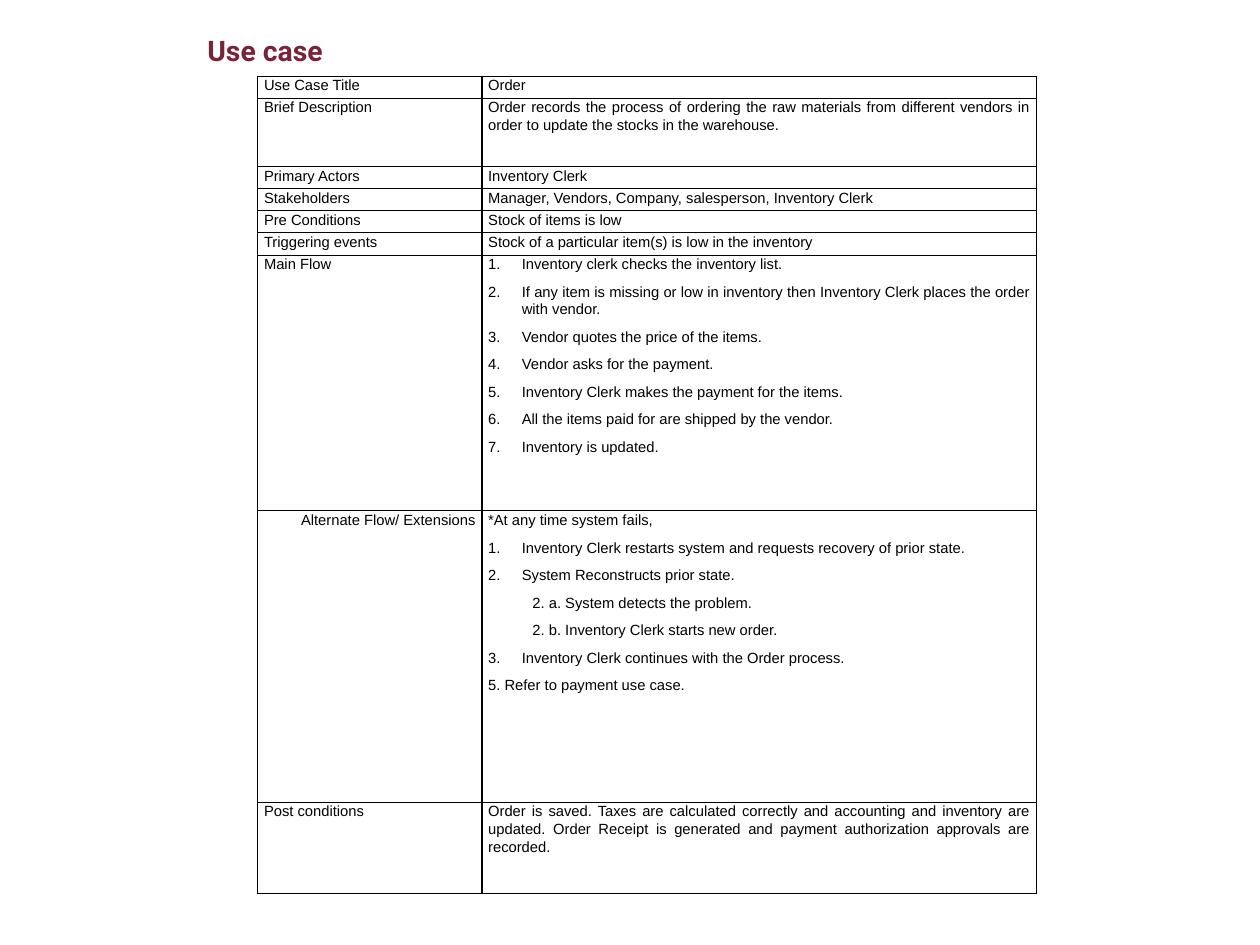
from lxml.etree import SubElement as Sub
from pptx import Presentation
from pptx.dml.color import RGBColor as RGB
from pptx.enum.text import MSO_ANCHOR as Anchor, MSO_AUTO_SIZE as Auto, PP_ALIGN as Align
from pptx.oxml.ns import qn
from pptx.util import Inches, Pt

ROWS = [
    (0.25, "Use Case Title", ["Order"]),
    (0.77, "Brief Description", [
        "Order records the process of ordering the raw materials from different "
        "vendors in order to update the stocks in the warehouse."]),
    (0.25, "Primary Actors", ["Inventory Clerk"]),
    (0.25, "Stakeholders", ["Manager, Vendors, Company, salesperson, Inventory Clerk"]),
    (0.25, "Pre Conditions", ["Stock of items is low"]),
    (0.25, "Triggering events", ["Stock of a particular item(s) is low in the inventory"]),
    # A pair (number, text) is a numbered step
    (2.89, "Main Flow", list(enumerate([
        "Inventory clerk checks the inventory list.",
        "If any item is missing or low in inventory then Inventory Clerk places "
        "the order with vendor.",
        "Vendor quotes the price of the items.",
        "Vendor asks for the payment.",
        "Inventory Clerk makes the payment for the items.",
        "All the items paid for are shipped by the vendor.",
        "Inventory is updated."], 1))),
    (3.29, "Alternate Flow/ Extensions", [
        "*At any time system fails,",
        (1, "Inventory Clerk restarts system and requests recovery of prior state."),
        (2, "System Reconstructs prior state."),
        ("sub", "2. a. System detects the problem."),
        ("sub", "2. b. Inventory Clerk starts new order."),
        (3, "Inventory Clerk continues with the Order process."),
        "5. Refer to payment use case."]),
    (1.03, "Post conditions", [
        "Order is saved. Taxes are calculated correctly and accounting and inventory "
        "are updated. Order Receipt is generated and payment authorization approvals "
        "are recorded."]),
]


def paint(code):
    return RGB.from_string(code)


def write(para, text, font="Arial", size=12, color="000000", bold=False,
          align=Align.JUSTIFY, line=1.07, after=8):
    para.alignment, para.line_spacing, para.space_after = align, line, Pt(after)
    run = para.add_run()
    run.text = text
    face = run.font
    face.name, face.size, face.bold = font, Pt(size), bold
    face.color.rgb = paint(color)


def indent(para, left, first=0, start=None):
    props = para._p.get_or_add_pPr()
    props.set("marL", str(Inches(left)))
    props.set("indent", str(Inches(first)))
    if start:
        Sub(props, qn("a:buFont"), typeface="+mj-lt")
        Sub(props, qn("a:buAutoNum"), type="arabicPeriod", startAt=str(start))


class Board:
    ink, accent = "000000", "782336"

    def __init__(self, slide):
        self.slide = slide

    def title(self, text, left, top, width, height):
        shape = self.slide.shapes.title
        shape.left, shape.top = Inches(left), Inches(top)
        shape.width, shape.height = Inches(width), Inches(height)
        frame = shape.text_frame
        frame.auto_size, frame.word_wrap = Auto.NONE, True
        frame.vertical_anchor = Anchor.BOTTOM
        frame.margin_left = frame.margin_right = Inches(0.1)
        frame.margin_top = frame.margin_bottom = Inches(0.1)
        write(frame.paragraphs[0], text, font="Roboto", size=23, color=self.accent,
              bold=True, align=Align.LEFT, line=1.0, after=0)

    def table(self, rows, left, top, widths):
        tall = sum(row[0] for row in rows)
        grid = self.slide.shapes.add_table(
            len(rows), len(widths), Inches(left), Inches(top),
            Inches(sum(widths)), Inches(tall)).table
        grid.first_row = grid.horz_banding = False
        for col, width in zip(grid.columns, widths):
            col.width = Inches(width)
        for num, (height, label, lines) in enumerate(rows):
            grid.rows[num].height = Inches(height)
            # The one long label sits against the right edge
            side = Align.RIGHT if label.startswith("Alternate") else Align.JUSTIFY
            self.cell(grid.cell(num, 0), [label], side)
            self.cell(grid.cell(num, 1), lines)

    def cell(self, cell, lines, align=Align.JUSTIFY):
        cell.margin_left = cell.margin_right = Inches(0.07)
        cell.margin_top = cell.margin_bottom = 0
        cell.vertical_anchor = Anchor.TOP
        self.border(cell)
        cell.fill.background()
        frame = cell.text_frame
        for num, item in enumerate(lines):
            para = frame.add_paragraph() if num else frame.paragraphs[0]
            mark, text = item if isinstance(item, tuple) else (None, item)
            write(para, text, color=self.ink, align=align)
            if mark == "sub":
                indent(para, 0.5)
            elif mark:
                indent(para, 0.38, -0.38, mark)

    def border(self, cell):
        props = cell._tc.get_or_add_tcPr()
        for side in "LRTB":
            edge = Sub(props, qn(f"a:ln{side}"), w=str(Pt(1)))
            fill = Sub(edge, qn("a:solidFill"))
            Sub(fill, qn("a:srgbClr"), val=self.ink)


def main():
    deck = Presentation()
    deck.slide_width, deck.slide_height = Inches(14.22), Inches(10.67)
    board = Board(deck.slides.add_slide(deck.slide_layouts[5]))

    # Heading
    board.title("Use case", 2.24, 0.21, 5.83, 0.65)

    # Use case table
    board.table(ROWS, 2.91, 0.86, [2.53, 6.26])

    deck.save("out.pptx")


if __name__ == "__main__":
    main()
